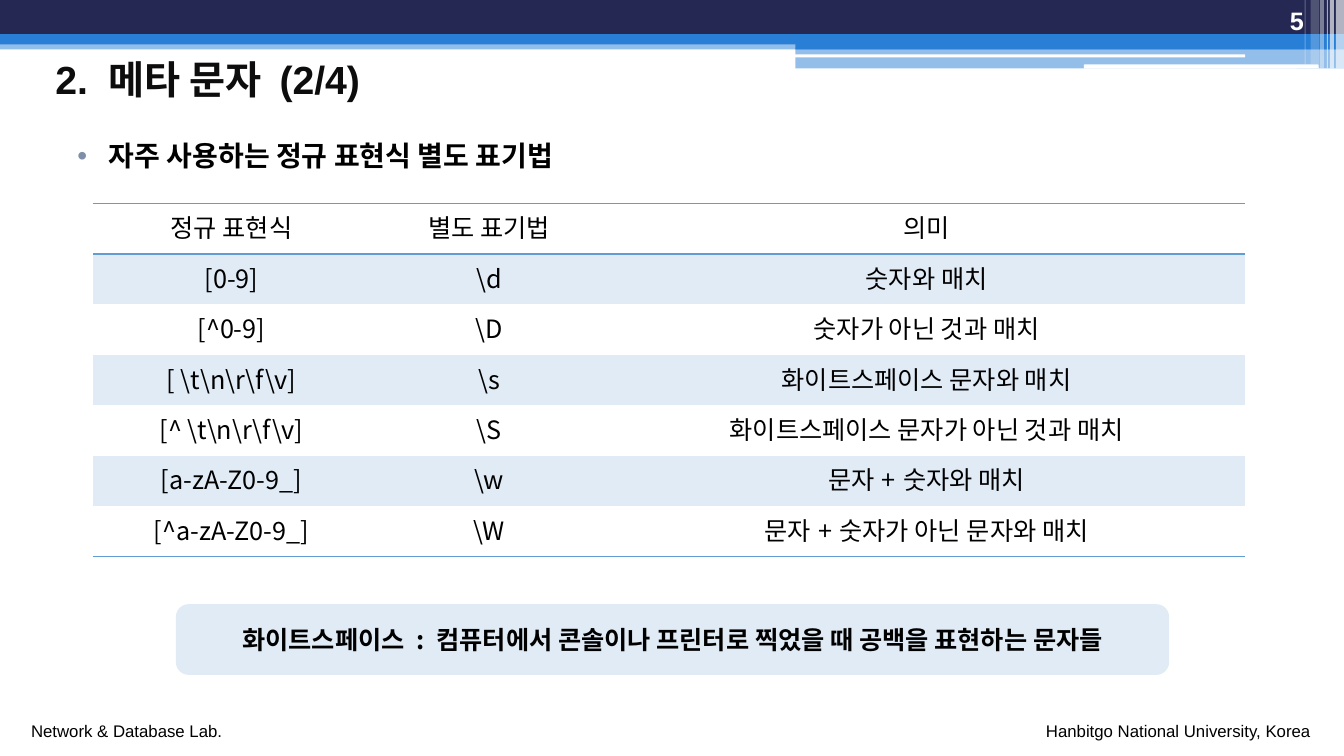
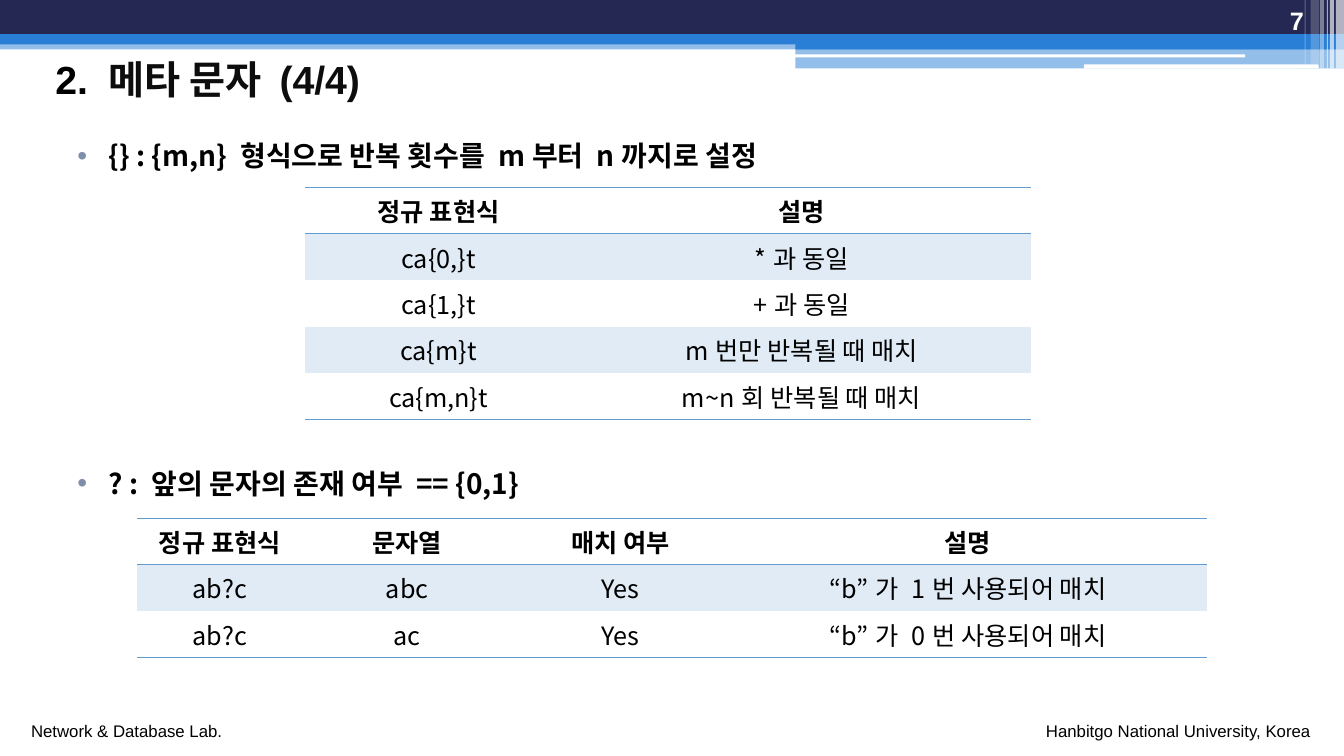
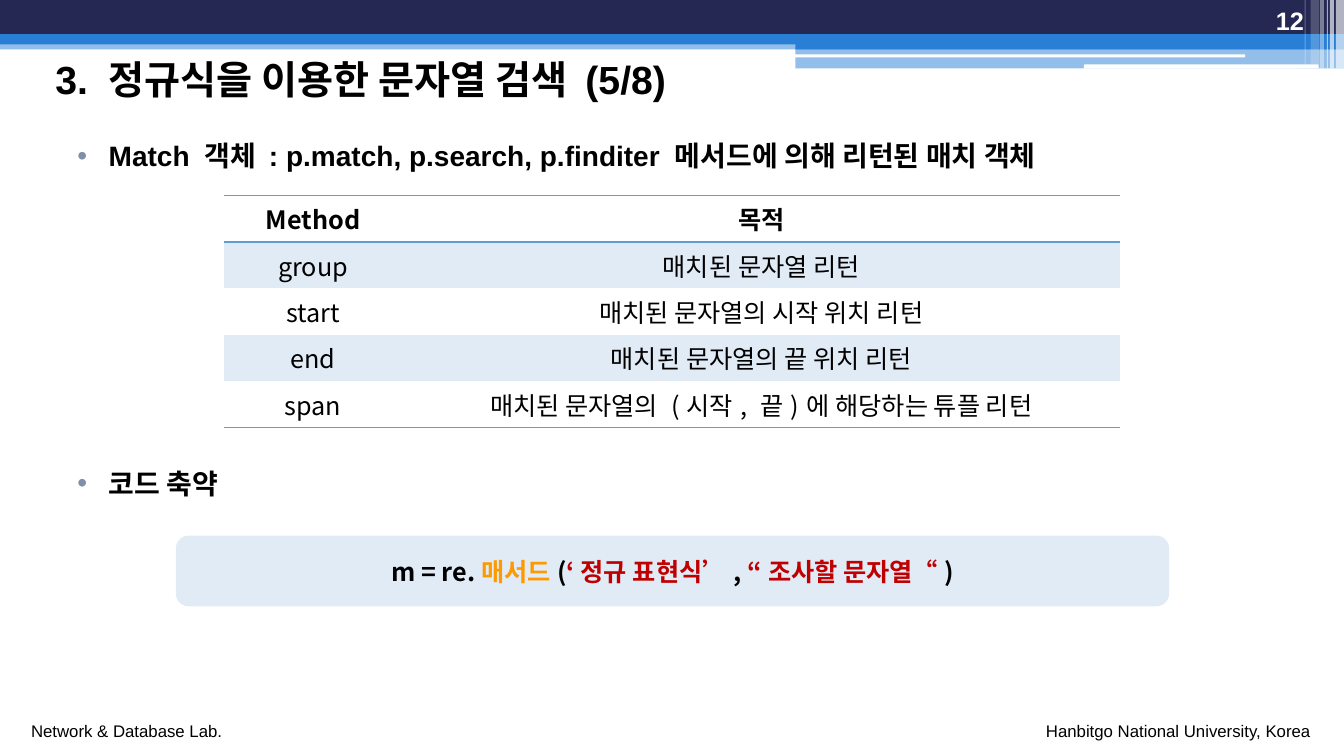
from lxml import etree
from pptx import Presentation
from pptx.dml.color import RGBColor
from pptx.enum import shapes, text
from pptx.oxml.ns import qn
from pptx.util import Inches, Pt

WIDTH, HEIGHT = 13.33, 7.5
ARIAL, NOTO = "Arial", "Noto Sans CJK KR"
COLORS = {
    "navy": "242852", "blue": "297FD5", "white": "FFFFFF", "black": "000000",
    "ink": "0D0D0D", "bullet": "7F8FA9", "rule": "629DD1", "tint": "E0EBF6",
    "orange": "FF9900", "red": "C00000",
}
LEFT, CENTER, RIGHT = text.PP_ALIGN.LEFT, text.PP_ALIGN.CENTER, text.PP_ALIGN.RIGHT
TOP, MIDDLE, BOTTOM = text.MSO_ANCHOR.TOP, text.MSO_ANCHOR.MIDDLE, text.MSO_ANCHOR.BOTTOM
RECT, ROUND = shapes.MSO_SHAPE.RECTANGLE, shapes.MSO_SHAPE.ROUNDED_RECTANGLE
NO_STYLE = "{2D5ABB26-0587-4C30-8999-92F81FD0307C}"

# Header decoration: left, top, width, height, colour, opacity in percent
BANDS = [
    (0, 0.4, WIDTH, 0.09, "blue", 50),
    (0, 0, WIDTH, 0.34, "navy", 100),
    (0, 0.34, WIDTH, 0.1, "blue", 100),
    (7.89, 0.39, 5.44, 0.1, "blue", 100),
    (7.89, 0.48, 5.44, 0.2, "blue", 50),
]
SLITS = [(7.88, 0.54, 4.47, 0.03), (10.75, 0.64, 2.33, 0.04)]
# Upright stripes: left, width, height, opacity
STRIPES = [
    (13.25, 0.08, 0.68, 65), (13.19, 0.04, 0.68, 65), (13.16, 0.01, 0.68, 60),
    (13.09, 0.04, 0.68, 40), (13, 0.08, 0.64, 20), (12.94, 0.01, 0.64, 30),
]
FOOTERS = [
    ("Network & Database Lab.", 0.21, LEFT),
    ("Hanbitgo National University, Korea", 9.13, RIGHT),
]
BULLET_TOPS = (1.16, 4.41)

# Content: text is a list of (words, colour) runs
SLIDES = [
    {
        "number": "5",
        "title": [("2. 메타 문자 (2/4)", "ink")],
        "bullets": ["자주 사용하는 정규 표현식 별도 표기법"],
        "bullet_font": ARIAL,
        "tables": [{
            "at": (0.92, 2.02), "cols": (2.75, 2.36, 6.32), "row": 0.5, "bold": False,
            "cells": [
                ("정규 표현식", "별도 표기법", "의미"),
                ("[0-9]", r"\d", "숫자와 매치"),
                ("[^0-9]", r"\D", "숫자가 아닌 것과 매치"),
                (r"[ \t\n\r\f\v]", r"\s", "화이트스페이스 문자와 매치"),
                (r"[^ \t\n\r\f\v]", r"\S", "화이트스페이스 문자가 아닌 것과 매치"),
                ("[a-zA-Z0-9_]", r"\w", "문자+숫자와 매치"),
                ("[^a-zA-Z0-9_]", r"\W", "문자+숫자가 아닌 문자와 매치"),
            ],
        }],
        "note_top": 6.01,
        "note": [("화이트스페이스 : 컴퓨터에서 콘솔이나 프린터로 찍었을 때 "
                  "공백을 표현하는 문자들", "black")],
    },
    {
        "number": "7",
        "title": [("2. ", "black"), ("메타 문자 (4/4)", "ink")],
        "bullets": ["{} : {m,n} 형식으로 반복 횟수를 m부터 n까지로 설정",
                    "? : 앞의 문자의 존재 여부 == {0,1}"],
        "bullet_font": NOTO,
        "tables": [
            {
                "at": (3.03, 1.86), "cols": (2.64, 4.56), "row": 0.46, "bold": True,
                "cells": [
                    ("정규 표현식", "설명"),
                    ("ca{0,}t", "*과 동일"),
                    ("ca{1,}t", "+과 동일"),
                    ("ca{m}t", "m번만 반복될 때 매치"),
                    ("ca{m,n}t", "m~n회 반복될 때 매치"),
                ],
            },
            {
                "at": (1.36, 5.14), "cols": (1.64, 2.08, 2.15, 4.74), "row": 0.46, "bold": True,
                "cells": [
                    ("정규 표현식", "문자열", "매치 여부", "설명"),
                    ("ab?c", "abc", "Yes", "“b”가 1번 사용되어 매치"),
                    ("ab?c", "ac", "Yes", "“b”가 0번 사용되어 매치"),
                ],
            },
        ],
    },
    {
        "number": "12",
        "title": [("3. 정규식을 이용한 문자열 검색 (5/8)", "black")],
        "bullets": ["Match 객체 : p.match, p.search, p.finditer 메서드에 의해 리턴된 매치 객체",
                    "코드 축약"],
        "bullet_font": ARIAL,
        "tables": [{
            "at": (2.22, 1.94), "cols": (1.77, 7.12), "row": 0.46, "bold": True,
            "cells": [
                ("Method", "목적"),
                ("group", "매치된 문자열 리턴"),
                ("start", "매치된 문자열의 시작 위치 리턴"),
                ("end", "매치된 문자열의 끝 위치 리턴"),
                ("span", "매치된 문자열의 (시작, 끝)에 해당하는 튜플 리턴"),
            ],
        }],
        "note_top": 5.33,
        "note": [("m = re.", "black"), ("매서드", "orange"), ("(", "black"),
                 ("‘정규 표현식’", "red"), (", ", "black"),
                 ("“조사할 문자열“", "red"), (")", "black")],
    },
]


def rgb(name):
    return RGBColor.from_string(COLORS[name])


def write(frame, runs, size, font=ARIAL, bold=False, align=LEFT, anchor=TOP):
    frame.word_wrap = True
    frame.vertical_anchor = anchor
    line = frame.paragraphs[0]
    line.alignment = align
    for words, color in runs:
        run = line.add_run()
        run.text = words
        run.font.name, run.font.size, run.font.bold = font, Pt(size), bold
        run.font.color.rgb = rgb(color)
        east_asian = etree.SubElement(run.font._element, qn("a:ea"))
        east_asian.set("typeface", NOTO)
    return line


def add_text(slide, box, runs, size, **style):
    frame = slide.shapes.add_textbox(*map(Inches, box)).text_frame
    return write(frame, runs, size, **style)


def add_block(slide, box, color, opacity=100, kind=RECT):
    block = slide.shapes.add_shape(kind, *map(Inches, box))
    block.shadow.inherit = False
    block.line.fill.background()
    block.fill.solid()
    block.fill.fore_color.rgb = rgb(color)
    if opacity < 100:
        tone = next(block.element.spPr.iter(qn("a:srgbClr")))
        etree.SubElement(tone, qn("a:alpha")).set("val", str(opacity * 1000))
    return block


def add_frame(slide, title, number):
    """Bands, footers, title and page number shared by all slides."""
    for *box, color, opacity in BANDS:
        add_block(slide, box, color, opacity)
    for box in SLITS:
        add_block(slide, box, "white", kind=ROUND)
    for left, width, height, opacity in STRIPES:
        add_block(slide, (left, 0, width, height), "white", opacity)
    for words, left, align in FOOTERS:
        add_text(slide, (left, 7.1, 3.97, 0.3), [(words, "black")], 12, align=align)
    add_text(slide, (0.45, 0.49, 12.38, 0.58), title, 28, bold=True, anchor=MIDDLE)
    add_text(slide, (11.92, 0, 1.11, 0.4), [(number, "white")], 18,
             bold=True, align=RIGHT, anchor=BOTTOM)


def add_bullet(slide, top, words, font):
    line = add_text(slide, (0.67, top, 12, 0.6), [(words, "black")], 20, font=font, bold=True)
    line.line_spacing, line.space_before = 1.5, Pt(3)
    props = line._p.get_or_add_pPr()
    props.set("marL", str(Inches(0.31)))
    props.set("indent", str(-Inches(0.31)))
    tone = etree.SubElement(props, qn("a:buClr"))
    etree.SubElement(tone, qn("a:srgbClr")).set("val", COLORS["bullet"])
    etree.SubElement(props, qn("a:buFont")).set("typeface", ARIAL)
    etree.SubElement(props, qn("a:buChar")).set("char", "•")


def add_rule(cell, side):
    rule = etree.Element(qn(f"a:{side}"), w=str(Pt(1)))
    fill = etree.SubElement(rule, qn("a:solidFill"))
    etree.SubElement(fill, qn("a:srgbClr")).set("val", COLORS["rule"])
    cell._tc.get_or_add_tcPr().insert(0, rule)


def add_grid(slide, at, cols, row, bold, cells):
    size = (sum(cols), row * len(cells))
    grid = slide.shapes.add_table(len(cells), len(cols), *map(Inches, at + size)).table
    grid._tbl.tblPr.find(qn("a:tableStyleId")).text = NO_STYLE
    for column, width in zip(grid.columns, cols):
        column.width = Inches(width)
    for r, entries in enumerate(cells):
        grid.rows[r].height = Inches(row)
        for c, words in enumerate(entries):
            cell = grid.cell(r, c)
            write(cell.text_frame, [(words, "black")], 18, font=NOTO,
                  bold=bold and r == 0, align=CENTER)
            if r % 2:
                cell.fill.solid()
                cell.fill.fore_color.rgb = rgb("tint")
            else:
                cell.fill.background()
            # Rules frame the header row and close the table
            if r in (0, len(cells) - 1):
                add_rule(cell, "lnB")
            if r == 0:
                add_rule(cell, "lnT")


def add_note(slide, top, runs):
    note = add_block(slide, (1.76, top, 9.82, 0.67), "tint", kind=ROUND)
    note.line.color.rgb = rgb("tint")
    note.line.width = Pt(2.25)
    write(note.text_frame, runs, 18, font=NOTO, bold=True, align=CENTER, anchor=MIDDLE)


def main():
    deck = Presentation()
    deck.slide_width, deck.slide_height = Inches(WIDTH), Inches(HEIGHT)
    for content in SLIDES:
        slide = deck.slides.add_slide(deck.slide_layouts[6])
        add_frame(slide, content["title"], content["number"])
        for top, words in zip(BULLET_TOPS, content["bullets"]):
            add_bullet(slide, top, words, content["bullet_font"])
        for table in content["tables"]:
            add_grid(slide, **table)
        if "note" in content:
            add_note(slide, content["note_top"], content["note"])
    deck.save("out.pptx")


if __name__ == "__main__":
    main()
